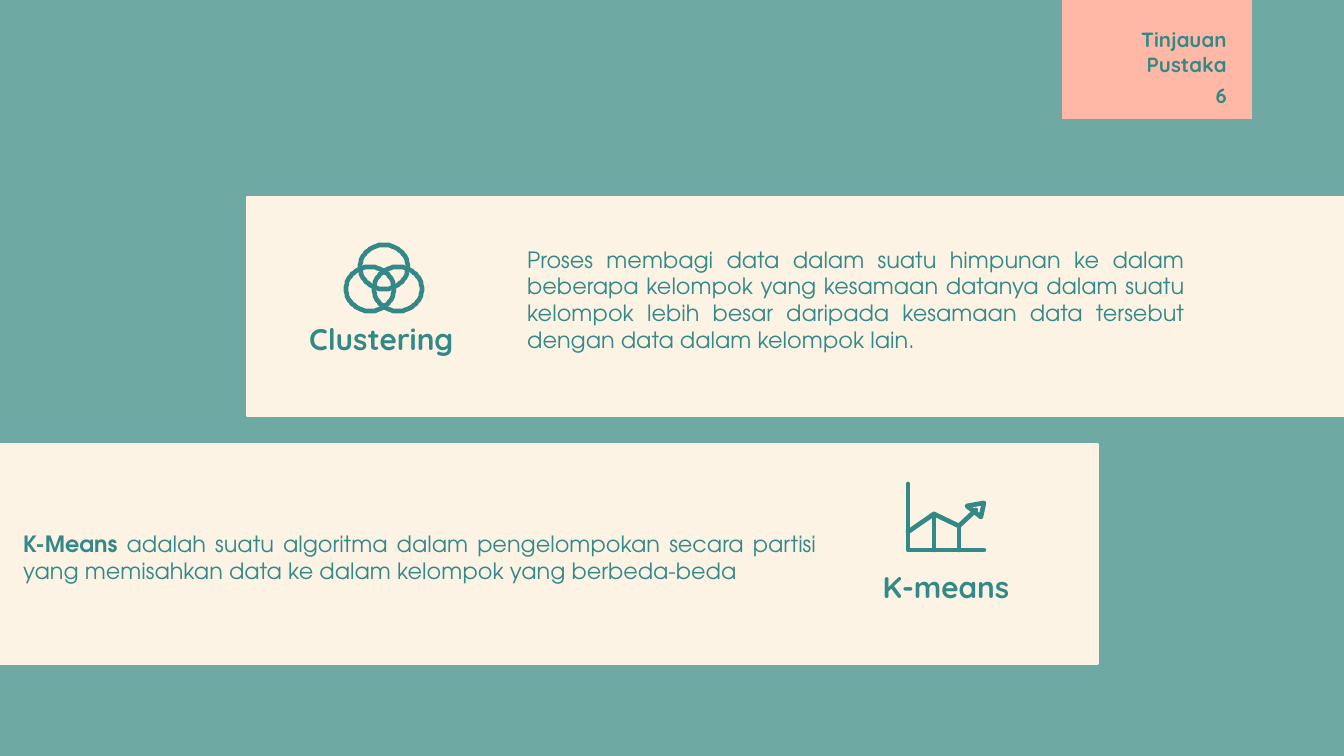
"""Build the literature review slide on clustering and K-means."""
import math
import pptx
import pptx.util
import pptx.dml.color
import pptx.enum.shapes
import pptx.enum.text
import pptx.oxml
import pptx.oxml.ns

PX = 914400 / 134.4
HUES = {"cream": "FDF3E5", "pink": "FFB8A5", "teal": "338987"}
HUES = {key: pptx.dml.color.RGBColor.from_string(hue) for key, hue in HUES.items()}
SPACE = pptx.oxml.ns.nsdecls("a")
ALIGN = pptx.enum.text.PP_ALIGN
ANCHOR = pptx.enum.text.MSO_ANCHOR


def scale(*box):
    return [round(side * PX) for side in box]


deck = pptx.Presentation()
deck.slide_width, deck.slide_height = scale(1344, 756)
slide = deck.slides.add_slide(deck.slide_layouts[6])
slide.background.fill.solid()
slide.background.fill.fore_color.rgb = HUES["teal"]

panels = [
    ((0, 0, 1344, 756), "cream", 0, 30),
    ((1062, 0, 190, 119), "pink", 0, 100),
    ((247, 197, 1120, 219), "cream", 1.5, 100),
    ((-11, 444, 1109, 220), "cream", 1.5, 100),
]
for box, hue, width, alpha in panels:
    panel = slide.shapes.add_shape(
        pptx.enum.shapes.MSO_SHAPE.RECTANGLE, *scale(*box))
    panel.shadow.inherit = False
    panel.fill.solid()
    panel.fill.fore_color.rgb = HUES[hue]
    if alpha < 100:
        tint = panel.element.spPr.find(".//" + pptx.oxml.ns.qn("a:srgbClr"))
        tint.append(pptx.oxml.parse_xml(f'<a:alpha {SPACE} val="{alpha * 1000}"/>'))
    if width:
        panel.line.color.rgb = HUES[hue]
        panel.line.width = pptx.util.Pt(width)
    else:
        panel.line.fill.background()

body = "TeX Gyre Adventor"
head = "Quicksand"
texts = [
    ((514, 245, 684, 109), ALIGN.JUSTIFY, ANCHOR.MIDDLE, body, 12, [
        ("Proses membagi data dalam suatu himpunan ke dalam beberapa kelompok "
         "yang kesamaan datanya dalam suatu kelompok lebih besar daripada "
         "kesamaan data tersebut dengan data dalam kelompok lain.", False)]),
    ((10, 510, 820, 94), ALIGN.JUSTIFY, ANCHOR.MIDDLE, body, 12, [
        ("K-Means", True),
        (" adalah suatu algoritma dalam pengelompokan secara partisi yang "
         "memisahkan data ke dalam kelompok yang berbeda-beda", False)]),
    ((1083, 19, 157, 71), ALIGN.RIGHT, ANCHOR.BOTTOM, head, 11,
     [("Tinjauan Pustaka", True)]),
    ((1160, 71, 80, 58), ALIGN.RIGHT, ANCHOR.TOP, head, 11, [("6", True)]),
    ((296, 314, 176, 56), ALIGN.LEFT, ANCHOR.BOTTOM, head, 16,
     [("Clustering", True)]),
    ((754, 562, 384, 56), ALIGN.CENTER, ANCHOR.BOTTOM, head, 16,
     [("K-means", True)]),
]
for box, align, anchor, font, size, runs in texts:
    frame = slide.shapes.add_textbox(*scale(*box)).text_frame
    frame.word_wrap = True
    frame.vertical_anchor = anchor
    frame.margin_left = frame.margin_right = pptx.util.Inches(0.1)
    frame.margin_top = frame.margin_bottom = pptx.util.Inches(0.1)
    para = frame.paragraphs[0]
    para.alignment = align
    for words, bold in runs:
        run = para.add_run()
        run.text = words
        run.font.name = font
        run.font.size = pptx.util.Pt(size)
        run.font.bold = bold
        run.font.color.rgb = HUES["teal"]

turns = [math.radians(angle) for angle in range(0, 360, 6)]
rings = [
    ([(x + 24 * math.cos(turn), y + 22 * math.sin(turn)) for turn in turns], True)
    for x, y in [(384, 267), (370, 289), (398, 289)]
]
graph = [
    ([(908, 484), (908, 550), (984, 550)], False),
    ([(908, 532), (934, 514), (959, 526), (976, 510)], False),
    ([(934, 514), (934, 550)], False),
    ([(959, 526), (959, 550)], False),
    ([(967, 506), (984, 503), (981, 517)], True),
]
for icon in (rings, graph):
    trace = slide.shapes.build_freeform(*icon[0][0][0], scale=PX)
    for index, (points, closed) in enumerate(icon):
        if index:
            trace.move_to(*points[0])
        trace.add_line_segments(points[1:], close=closed)
    shape = trace.convert_to_shape()
    shape.shadow.inherit = False
    shape.fill.background()
    shape.line.color.rgb = HUES["teal"]
    shape.line.width = pptx.util.Pt(2.5)
    line = shape.element.spPr.find(pptx.oxml.ns.qn("a:ln"))
    line.set("cap", "rnd")
    line.append(pptx.oxml.parse_xml(f"<a:round {SPACE}/>"))

deck.save("out.pptx")
